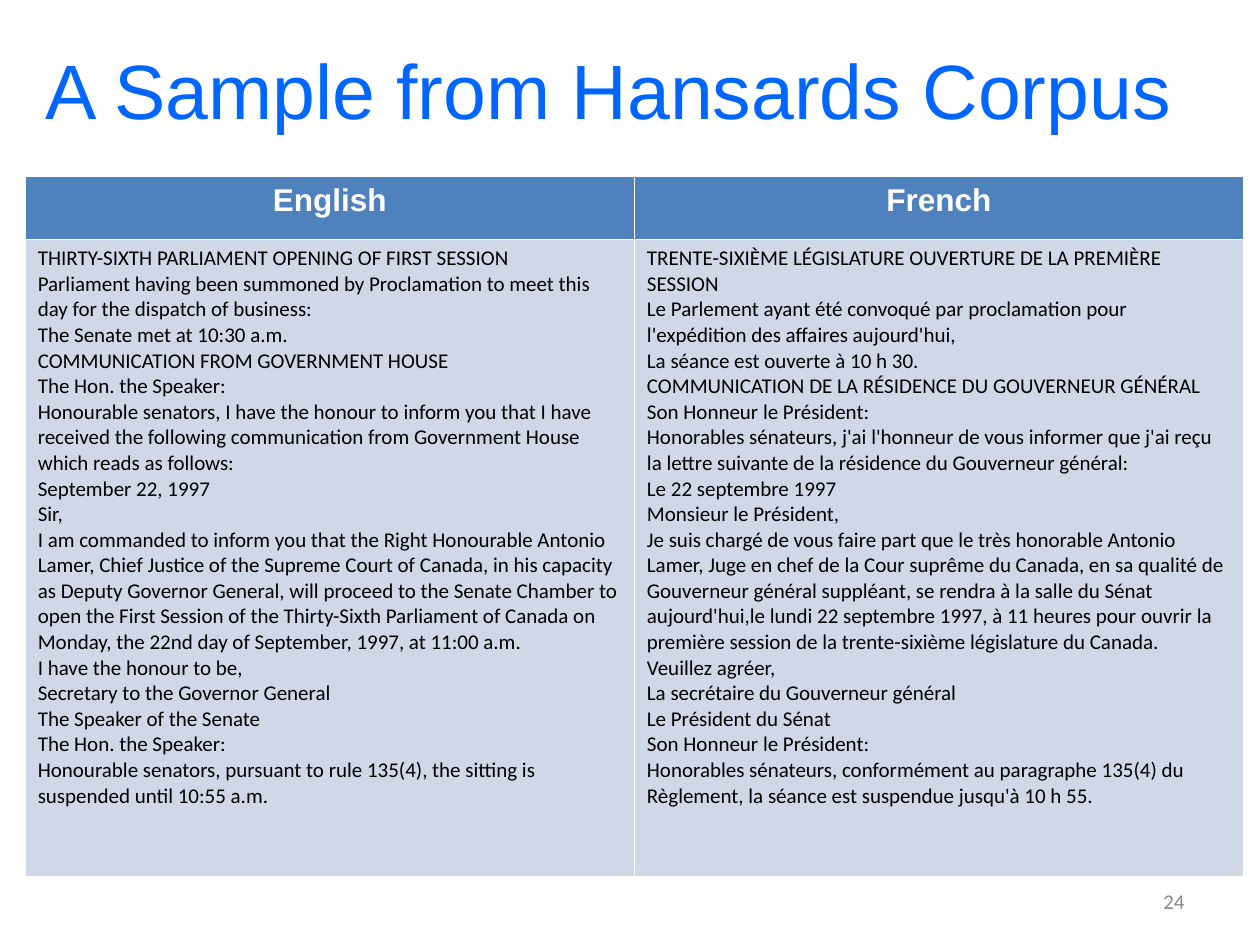
"""Builds a slide that sets English and French parliament records side by side."""
import dataclasses

import pptx
import pptx.dml.color
import pptx.enum.text
import pptx.util

ALIGN = pptx.enum.text.PP_ALIGN
MIDDLE = pptx.enum.text.MSO_ANCHOR.MIDDLE


@dataclasses.dataclass(frozen=True)
class Theme:
    title: str = "0066FF"
    head: str = "4F81BD"
    body: str = "D0D8E8"
    white: str = "FFFFFF"
    black: str = "000000"
    gray: str = "898989"
    sans: str = "Arial"
    text: str = "Calibri"
    big: int = 44
    mid: int = 18
    small: int = 12


theme = Theme()

english = [
    "THIRTY-SIXTH PARLIAMENT OPENING OF FIRST SESSION",
    "Parliament having been summoned by Proclamation to meet this day for the dispatch of business:",
    "The Senate met at 10:30 a.m.",
    "COMMUNICATION FROM GOVERNMENT HOUSE",
    "The Hon. the Speaker:",
    "Honourable senators, I have the honour to inform you that I have received "
    "the following communication from Government House which reads as follows:",
    "September 22, 1997",
    "Sir,",
    "I am commanded to inform you that the Right Honourable Antonio Lamer, Chief Justice "
    "of the Supreme Court of Canada, in his capacity as Deputy Governor General, will proceed "
    "to the Senate Chamber to open the First Session of the Thirty-Sixth Parliament of Canada "
    "on Monday, the 22nd day of September, 1997, at 11:00 a.m.",
    "I have the honour to be,",
    "Secretary to the Governor General",
    "The Speaker of the Senate",
    "The Hon. the Speaker:",
    "Honourable senators, pursuant to rule 135(4), the sitting is suspended until 10:55 a.m.",
]
french = [
    "TRENTE-SIXIÈME LÉGISLATURE OUVERTURE DE LA PREMIÈRE SESSION",
    "Le Parlement ayant été convoqué par proclamation pour l'expédition des affaires aujourd'hui,",
    "La séance est ouverte à 10 h 30.",
    "COMMUNICATION DE LA RÉSIDENCE DU GOUVERNEUR GÉNÉRAL",
    "Son Honneur le Président:",
    "Honorables sénateurs, j'ai l'honneur de vous informer que j'ai reçu "
    "la lettre suivante de la résidence du Gouverneur général:",
    "Le 22 septembre 1997",
    "Monsieur le Président,",
    "Je suis chargé de vous faire part que le très honorable Antonio Lamer, Juge en chef "
    "de la Cour suprême du Canada, en sa qualité de Gouverneur général suppléant, se rendra "
    "à la salle du Sénat aujourd'hui,le lundi 22 septembre 1997, à 11 heures pour ouvrir "
    "la première session de la trente-sixième législature du Canada.",
    "Veuillez agréer,",
    "La secrétaire du Gouverneur général",
    "Le Président du Sénat",
    "Son Honneur le Président:",
    "Honorables sénateurs, conformément au paragraphe 135(4) du Règlement, "
    "la séance est suspendue jusqu'à 10 h 55.",
]


def write(frame, text, size, face, color, align, bold=False):
    frame.text = text
    frame.word_wrap = True
    for para in frame.paragraphs:
        para.alignment = align
        for run in para.runs:
            run.font.size = pptx.util.Pt(size)
            run.font.name = face
            run.font.bold = bold
            run.font.color.rgb = pptx.dml.color.RGBColor.from_string(color)


deck = pptx.Presentation()
deck.slide_width = pptx.util.Inches(10)
deck.slide_height = pptx.util.Inches(7.5)
slide = deck.slides.add_slide(deck.slide_layouts[6])

labels = [
    ((0.17, 0.08, 9.33, 1.25), "A Sample from Hansards Corpus",
     theme.big, theme.sans, theme.title, ALIGN.CENTER),
    ((7.17, 6.95, 2.33, 0.4), "24",
     theme.small, theme.text, theme.gray, ALIGN.RIGHT),
]
for place, *style in labels:
    box = slide.shapes.add_textbox(*map(pptx.util.Inches, place))
    write(box.text_frame, *style)
    box.text_frame.vertical_anchor = MIDDLE

area = map(pptx.util.Inches, (0.2, 1.4, 9.67, 5.56))
table = slide.shapes.add_table(2, 2, *area).table
for row, high in zip(table.rows, (0.5, 5.06)):
    row.height = pptx.util.Inches(high)

columns = [("English", english), ("French", french)]
for col, (name, lines) in enumerate(columns):
    head, body = table.cell(0, col), table.cell(1, col)
    write(head.text_frame, name, theme.mid, theme.sans, theme.white, ALIGN.CENTER, True)
    write(body.text_frame, "\n".join(lines), theme.small, theme.text, theme.black, ALIGN.LEFT)
    for cell, color in ((head, theme.head), (body, theme.body)):
        cell.fill.solid()
        cell.fill.fore_color.rgb = pptx.dml.color.RGBColor.from_string(color)

deck.save("out.pptx")
